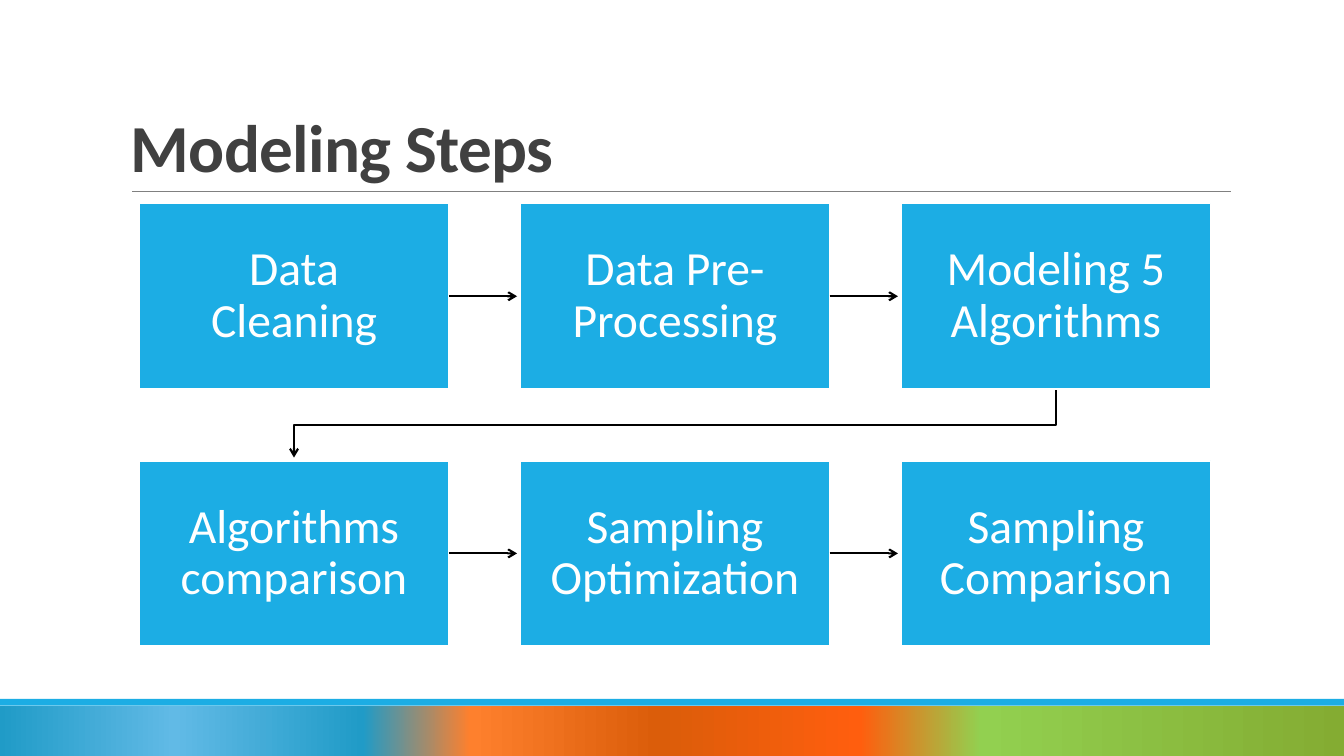
from pptx import Presentation
from pptx import util as u
from pptx.dml.color import RGBColor
from pptx.enum import shapes, text
from pptx.oxml import parse_xml
from pptx.oxml.ns import nsdecls, qn
from copy import deepcopy

TITLE = "Modeling Steps"
STEPS = [
    ["Data Cleaning", "Data Pre- Processing", "Modeling 5 Algorithms"],
    ["Algorithms comparison", "Sampling Optimization", "Sampling Comparison"],
]
BAND_STOPS = [
    (0, "209BC7"), (13, "61BAE6"), (27, "209BC7"), (35, "FE802D"),
    (49, "DB5D0A"), (64, "FF5E0E"), (73, "92D050"), (100, "84AC32"),
]
BLUE, WHITE, BLACK, GREY, DARK = "1CADE4", "FFFFFF", "000000", "808080", "404040"

# Lengths in centimetres
PAGE_W, PAGE_H = 33.87, 19.05
BAND_H, STRIP_H = 1.27, 0.17
LEFT, TOP = 3.51, 5.13
BOX_W, BOX_H = 7.8, 4.67
STEP_X, STEP_Y = 9.6, 6.48
BOX_INSET = 0.66
ARROW_GAP = 0.08

TITLE_FORMAT = {"size": u.Pt(48), "name": "Calibri", "bold": True}
STEP_FORMAT = {"size": u.Pt(34), "name": "Calibri"}


def color(value):
    return RGBColor.from_string(value)


def paint_line(item, value, width):
    item.line.color.rgb = color(value)
    item.line.width = u.Pt(width)


def add_arrowhead(item):
    item.line._get_or_add_ln().append(
        parse_xml(f'<a:tailEnd {nsdecls("a")} type="arrow"/>'))


def add_line(page, x1, y1, x2, y2, value, width):
    line = page.shapes.add_connector(
        shapes.MSO_CONNECTOR.STRAIGHT, *map(u.Cm, (x1, y1, x2, y2)))
    paint_line(line, value, width)
    line._element.spPr.append(parse_xml(f'<a:effectLst {nsdecls("a")}/>'))
    return line


def add_rectangle(page, x, y, width, height, fill):
    box = page.shapes.add_shape(
        shapes.MSO_SHAPE.RECTANGLE, *map(u.Cm, (x, y, width, height)))
    box.shadow.inherit = False
    box.fill.solid()
    box.fill.fore_color.rgb = color(fill)
    box.line.fill.background()
    return box


def write(box, words, formats, value, spacing, align, anchor):
    frame = box.text_frame
    frame.word_wrap = True
    frame.vertical_anchor = anchor
    para = frame.paragraphs[0]
    para.alignment = align
    para.line_spacing = spacing
    span = para.add_run()
    span.text = words
    for name, setting in formats.items():
        setattr(span.font, name, setting)
    span.font.color.rgb = color(value)
    return span


def add_footer(page):
    band_top = PAGE_H - BAND_H
    band = add_rectangle(page, 0, band_top, PAGE_W, BAND_H, BLUE)
    band.fill.gradient()
    band.fill.gradient_angle = 0
    stops = band._element.spPr.find(qn("a:gradFill")).find(qn("a:gsLst"))
    model = stops[0]
    for _ in BAND_STOPS:
        stops.append(deepcopy(model))
    for old in stops[:-len(BAND_STOPS)]:
        stops.remove(old)
    for stop, (position, value) in zip(band.fill.gradient_stops, BAND_STOPS):
        stop.position = position / 100
        stop.color.rgb = color(value)
    add_rectangle(page, 0, band_top - STRIP_H, PAGE_W, STRIP_H, BLUE)


def add_title(page):
    add_line(page, 3.33, 4.83, 31.01, 4.83, GREY, 0.5)
    box = page.shapes.add_textbox(*map(u.Cm, (3.05, 0.79, 27.94, 4.04)))
    span = write(box, TITLE, TITLE_FORMAT, DARK, 0.85,
                 text.PP_ALIGN.LEFT, text.MSO_ANCHOR.BOTTOM)
    span._r.get_or_add_rPr().set("spc", "-50")


def add_step(page, words, row, column):
    box = add_rectangle(page, LEFT + column * STEP_X, TOP + row * STEP_Y,
                        BOX_W, BOX_H, BLUE)
    paint_line(box, WHITE, 1.25)
    for side in ("left", "top", "right", "bottom"):
        setattr(box.text_frame, f"margin_{side}", u.Cm(BOX_INSET))
    write(box, words, STEP_FORMAT, WHITE, 0.9,
          text.PP_ALIGN.CENTER, text.MSO_ANCHOR.MIDDLE)
    return box


def add_row_arrow(page, box, row, column):
    """Arrow from a step to just short of the next one in its row."""
    start = LEFT + column * STEP_X + BOX_W
    end = LEFT + (column + 1) * STEP_X - ARROW_GAP
    middle = TOP + row * STEP_Y + BOX_H / 2
    arrow = add_line(page, start, middle, end, middle, BLACK, 1.5)
    arrow.begin_connect(box, 3)
    add_arrowhead(arrow)


def add_return_arrow(page):
    """Bent arrow from the end of the first row to the start of the second."""
    first = LEFT + BOX_W / 2
    last = first + 2 * STEP_X
    start, end = TOP + BOX_H, TOP + STEP_Y - ARROW_GAP
    bend = (TOP + BOX_H + TOP + STEP_Y) / 2
    points = [(u.Cm(x), u.Cm(y)) for x, y in
              [(last, start), (last, bend), (first, bend), (first, end)]]
    builder = page.shapes.build_freeform(*points[0])
    builder.add_line_segments(points[1:], close=False)
    arrow = builder.convert_to_shape()
    arrow.shadow.inherit = False
    arrow.fill.background()
    paint_line(arrow, BLACK, 1.5)
    add_arrowhead(arrow)


def main():
    deck = Presentation()
    deck.slide_width, deck.slide_height = u.Cm(PAGE_W), u.Cm(PAGE_H)
    page = deck.slides.add_slide(deck.slide_layouts[6])
    add_footer(page)
    add_title(page)
    add_return_arrow(page)
    for row, names in enumerate(STEPS):
        for column, words in enumerate(names):
            box = add_step(page, words, row, column)
            if column < len(names) - 1:
                add_row_arrow(page, box, row, column)
    deck.save("out.pptx")


if __name__ == "__main__":
    main()
